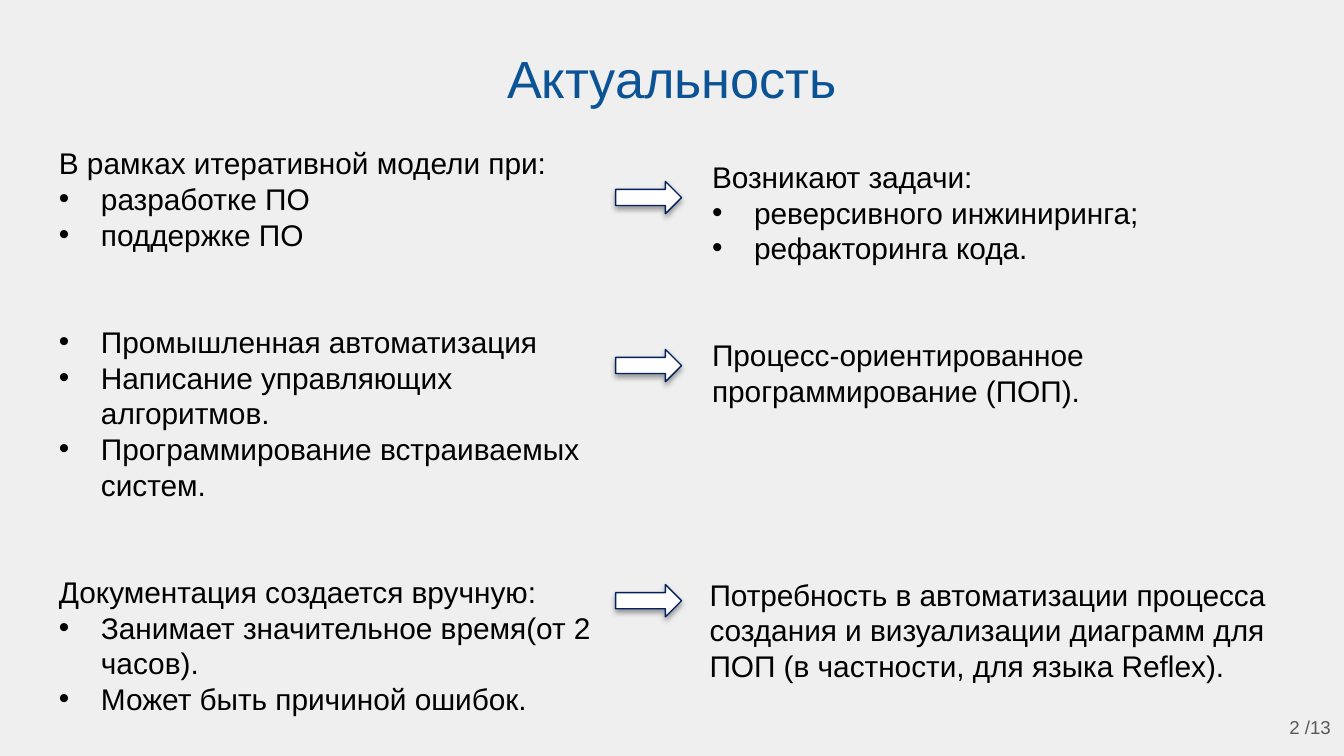
from lxml import etree
from pptx import Presentation
from pptx.dml.color import RGBColor
from pptx.enum.shapes import MSO_SHAPE
from pptx.enum.text import MSO_ANCHOR, PP_ALIGN
from pptx.oxml.ns import qn
from pptx.util import Pt

RIGHT_ARROW = MSO_SHAPE.RIGHT_ARROW
TOP, MIDDLE = MSO_ANCHOR.TOP, MSO_ANCHOR.MIDDLE
LEFT, CENTER, RIGHT = PP_ALIGN.LEFT, PP_ALIGN.CENTER, PP_ALIGN.RIGHT

COLORS = {
    "background": "EFEFEF",
    "title": "0B5394",
    "text": "000000",
    "number": "595959",
    "arrow_fill": "FFFFFF",
    "arrow_line": "002060",
    "shadow": "000000",
}
FONT = "Arial"
LINE_PITCH = 19.15
GROUP_GAP = 2 * LINE_PITCH
BULLET_INDENT = 22.5

REASONS = [
    ("В рамках итеративной модели при:", ["разработке ПО", "поддержке ПО"]),
    (None, [
        "Промышленная автоматизация",
        "Написание управляющих алгоритмов.",
        "Программирование встраиваемых систем.",
    ]),
    ("Документация создается вручную:", [
        "Занимает значительное время(от 2 часов).",
        "Может быть причиной ошибок.",
    ]),
]
TASKS = [
    ("Возникают задачи:", ["реверсивного инжиниринга;", "рефакторинга кода."]),
    ("Процесс-ориентированное программирование (ПОП).", []),
]
NEED = [
    ("Потребность в автоматизации процесса создания и визуализации "
     "диаграмм для ПОП (в частности, для языка Reflex).", []),
]


def rgb(name):
    return RGBColor.from_string(COLORS[name])


def add_frame(page, box, insets, anchor=TOP):
    frame = page.shapes.add_textbox(*map(Pt, box)).text_frame
    left, top, right, bottom = map(Pt, insets)
    formats = {
        "word_wrap": True,
        "vertical_anchor": anchor,
        "margin_left": left,
        "margin_top": top,
        "margin_right": right,
        "margin_bottom": bottom,
    }
    for name, value in formats.items():
        setattr(frame, name, value)
    return frame


def write(para, text, size, color, align=LEFT):
    para.alignment = align
    span = para.add_run()
    span.text = text
    for name, value in {"name": FONT, "size": Pt(size)}.items():
        setattr(span.font, name, value)
    span.font.color.rgb = rgb(color)


def add_bullet(para):
    props = para._p.get_or_add_pPr()
    props.set("marL", str(Pt(BULLET_INDENT)))
    props.set("indent", str(-Pt(BULLET_INDENT)))
    color = etree.SubElement(props, qn("a:buClr"))
    etree.SubElement(color, qn("a:srgbClr"), val=COLORS["text"])
    etree.SubElement(props, qn("a:buFont"), typeface=FONT)
    etree.SubElement(props, qn("a:buChar"), char="•")


def add_label(page, box, text, size, color, align, insets, anchor=TOP):
    frame = add_frame(page, box, insets, anchor)
    write(frame.paragraphs[0], text, size, color, align)


def add_groups(page, box, groups):
    frame = add_frame(page, box, (7.2, 3.6, 7.2, 3.6))
    para = frame.paragraphs[0]
    for group_index, (heading, items) in enumerate(groups):
        lines = [(heading, False)] if heading else []
        lines += [(item, True) for item in items]
        for line_index, (text, bulleted) in enumerate(lines):
            if group_index or line_index:
                para = frame.add_paragraph()
            para.line_spacing = Pt(LINE_PITCH)
            if group_index and not line_index:
                para.space_before = Pt(GROUP_GAP)
            write(para, text, 16, "text")
            if bulleted:
                add_bullet(para)


def add_arrow(page, box):
    arrow = page.shapes.add_shape(RIGHT_ARROW, *map(Pt, box))
    arrow.fill.solid()
    arrow.fill.fore_color.rgb = rgb("arrow_fill")
    arrow.line.color.rgb = rgb("arrow_line")
    arrow.line.width = Pt(0.75)
    arrow.shadow.inherit = False
    effects = arrow._element.spPr.find(qn("a:effectLst"))
    shadow = etree.SubElement(
        effects, qn("a:outerShdw"), blurRad=str(Pt(3.1)), dist=str(Pt(1.6)),
        dir="5400000", rotWithShape="0")
    color = etree.SubElement(shadow, qn("a:srgbClr"), val=COLORS["shadow"])
    etree.SubElement(color, qn("a:alpha"), val="38000")


def build_relevance(page, box):
    left, top, width, height = box
    page.background.fill.solid()
    page.background.fill.fore_color.rgb = rgb("background")
    add_groups(page, (left + 24.5, top + 74.2, 318.2, 334.1), REASONS)
    add_groups(page, (left + 374.4, top + 81.4, 319.7, 159.8), TASKS)
    add_groups(page, (left + 373, top + 305.3, 323.3, 82), NEED)
    for arrow_top in (97.2, 187.2, 313.2):
        add_arrow(page, (left + 329.8, top + arrow_top, 35.3, 17.3))
    add_label(page, (left + 24.5, top + 14.4, width - 49, 38.9),
              "Актуальность", 28, "title", CENTER, (7.2, 10.2, 7.2, 7.2))
    add_label(page, (left + width - 43.2, top + height - 31, 43.2, 31),
              "2 /13", 10, "number", RIGHT, (7.2, 7.2, 7.2, 7.2), MIDDLE)


def main():
    deck = Presentation()
    deck.slide_width, deck.slide_height = Pt(720), Pt(405)
    page = deck.slides.add_slide(deck.slide_layouts[6])
    build_relevance(page, (0, 0, 720, 405))
    deck.save("out.pptx")


if __name__ == "__main__":
    main()
